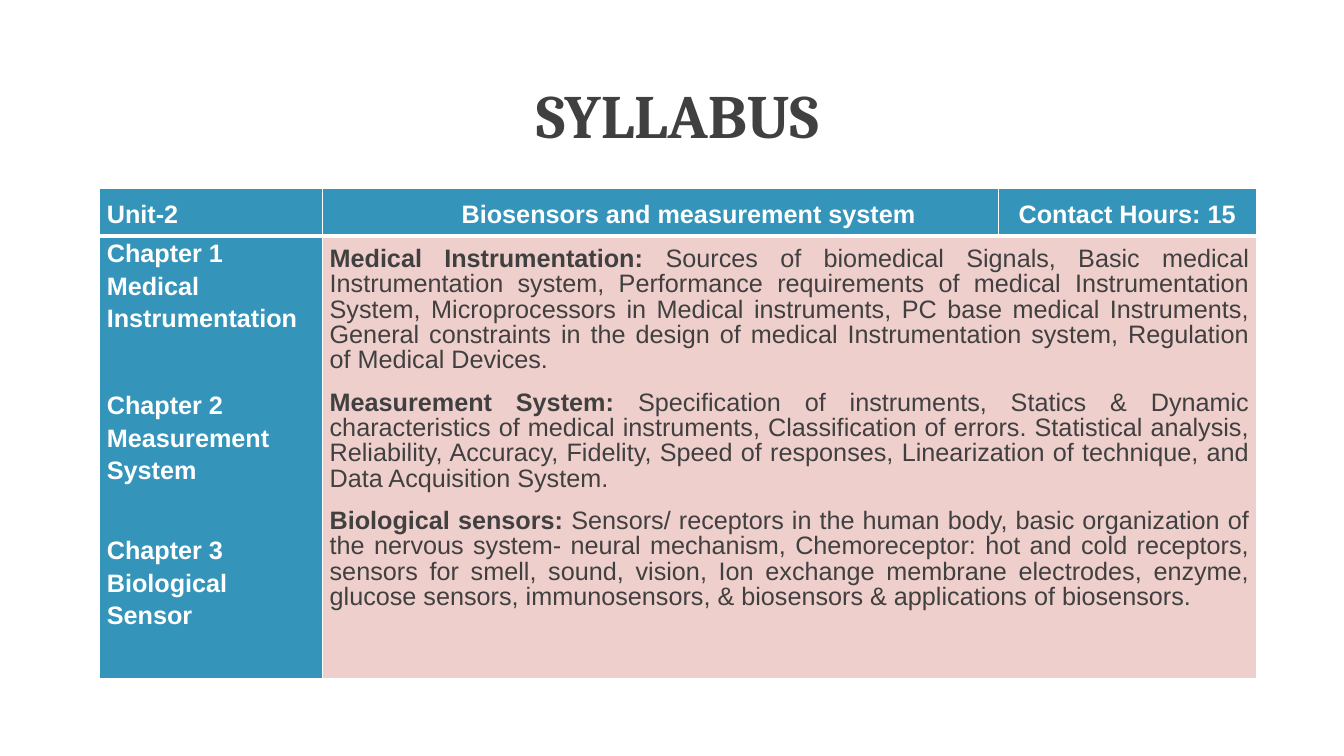
from lxml import etree
from pptx import Presentation
from pptx.dml.color import RGBColor
from pptx.enum.text import MSO_ANCHOR, PP_ALIGN
from pptx.oxml.ns import qn
from pptx.util import Inches, Pt

LEFT, CENTER, JUSTIFY = PP_ALIGN.LEFT, PP_ALIGN.CENTER, PP_ALIGN.JUSTIFY
TOP, MIDDLE = MSO_ANCHOR.TOP, MSO_ANCHOR.MIDDLE

HEADINGS = [
    ("Unit-2", LEFT, 0.07),
    ("Biosensors and measurement system", CENTER, 0.63),
    ("Contact Hours: 15", CENTER, 0.07),
]
CHAPTERS = [
    ("Chapter 1", "Medical Instrumentation", 0),
    ("Chapter 2", "Measurement System", 39),
    ("Chapter 3", "Biological Sensor", 34),
]
TOPICS = [
    ("Medical Instrumentation: ",
     "Sources of biomedical Signals, Basic medical Instrumentation system, "
     "Performance requirements of medical Instrumentation System, "
     "Microprocessors in Medical instruments, PC base medical Instruments, "
     "General constraints in the design of medical Instrumentation system, "
     "Regulation of Medical Devices."),
    ("Measurement System: ",
     "Specification of instruments, Statics & Dynamic characteristics of "
     "medical instruments, Classification of errors. Statistical analysis, "
     "Reliability, Accuracy, Fidelity, Speed of responses, Linearization of "
     "technique, and Data Acquisition System."),
    ("Biological sensors: ",
     "Sensors/ receptors in the human body, basic organization of the nervous "
     "system- neural mechanism, Chemoreceptor: hot and cold receptors, sensors "
     "for smell, sound, vision, Ion exchange membrane electrodes, enzyme, "
     "glucose sensors, immunosensors, & biosensors & applications of biosensors."),
]


def color(value):
    """Turn a hex string into a colour."""
    return RGBColor.from_string(value)


def write(frame, *runs, size=18, font="Arial", fill="FFFFFF", align=LEFT,
          spacing=1.15, before=0, after=0):
    """Add a paragraph of (text, bold) runs to a text frame."""
    paragraph = frame.paragraphs[0]
    if paragraph.runs:
        paragraph = frame.add_paragraph()
    paragraph.alignment = align
    paragraph.line_spacing = spacing
    paragraph.space_before = Pt(before)
    paragraph.space_after = Pt(after)
    for text, bold in runs:
        run = paragraph.add_run()
        run.text = text
        run.font.size = Pt(size)
        run.font.name = font
        run.font.bold = bold
        run.font.color.rgb = color(fill)


class SyllabusSlide:
    """Hold the slide and its style."""

    blue, pink, dark, white = "3494BA", "EFCFCC", "404040", "FFFFFF"

    def __init__(self, presentation):
        """Add a title-only slide."""
        self.slide = presentation.slides.add_slide(presentation.slide_layouts[5])

    def title(self, text, left, top, width, height):
        """Place and format the title."""
        shape = self.slide.shapes.title
        shape.left, shape.top = Inches(left), Inches(top)
        shape.width, shape.height = Inches(width), Inches(height)
        shape.text_frame.vertical_anchor = MIDDLE
        write(shape.text_frame, (text, True), size=44, font="Cambria",
              fill=self.dark, align=CENTER, spacing=0.9)

    def table(self, left, top, columns, rows):
        """Add an unbanded table and return it."""
        table = self.slide.shapes.add_table(
            len(rows), len(columns), Inches(left), Inches(top),
            Inches(sum(columns)), Inches(sum(rows))).table
        table.first_row = table.horz_banding = False
        for column, width in zip(table.columns, columns):
            column.width = Inches(width)
        for row, height in zip(table.rows, rows):
            row.height = Inches(height)
        return table

    def cell(self, cell, fill, anchor=TOP, borders=(1, 1, 1, 1),
             left=0.07, top=0):
        """Format a cell and return its text frame."""
        cell.margin_left, cell.margin_right = Inches(left), Inches(0.07)
        cell.margin_top, cell.margin_bottom = Inches(top), 0
        cell.vertical_anchor = anchor
        properties = cell._tc.get_or_add_tcPr()
        for side, width in zip("LRTB", borders):
            line = etree.SubElement(properties, qn(f"a:ln{side}"), w=str(Pt(width)))
            solid = etree.SubElement(line, qn("a:solidFill"))
            etree.SubElement(solid, qn("a:srgbClr"), val=self.white)
        cell.fill.solid()
        cell.fill.fore_color.rgb = color(fill)
        return cell.text_frame


def main():
    """Build and save the syllabus slide."""
    presentation = Presentation()
    presentation.slide_width = Inches(13.33)
    presentation.slide_height = Inches(7.5)
    page = SyllabusSlide(presentation)
    page.title("SYLLABUS", 1.24, 0.65, 10.96, 1.05)

    table = page.table(0.99, 1.87, [2.21, 6.7, 2.56], [0.47, 4.39])
    for index, (text, align, left) in enumerate(HEADINGS):
        frame = page.cell(table.cell(0, index), page.blue, anchor=MIDDLE,
                          borders=(1, 1, 1, 3), left=left)
        write(frame, (text, True), align=align)

    body_borders = (1, 1, 3, 1)
    frame = page.cell(table.cell(1, 0), page.blue, borders=body_borders)
    for number, name, gap in CHAPTERS:
        write(frame, (number, True), align=JUSTIFY, before=gap)
        write(frame, (name, True), align=JUSTIFY)

    table.cell(1, 1).merge(table.cell(1, 2))
    frame = page.cell(table.cell(1, 1), page.pink, borders=body_borders, top=0.11)
    for heading, text in TOPICS:
        write(frame, (heading, True), (text, False), fill=page.dark,
              align=JUSTIFY, spacing=0.9, after=12)

    presentation.save("out.pptx")


if __name__ == "__main__":
    main()
